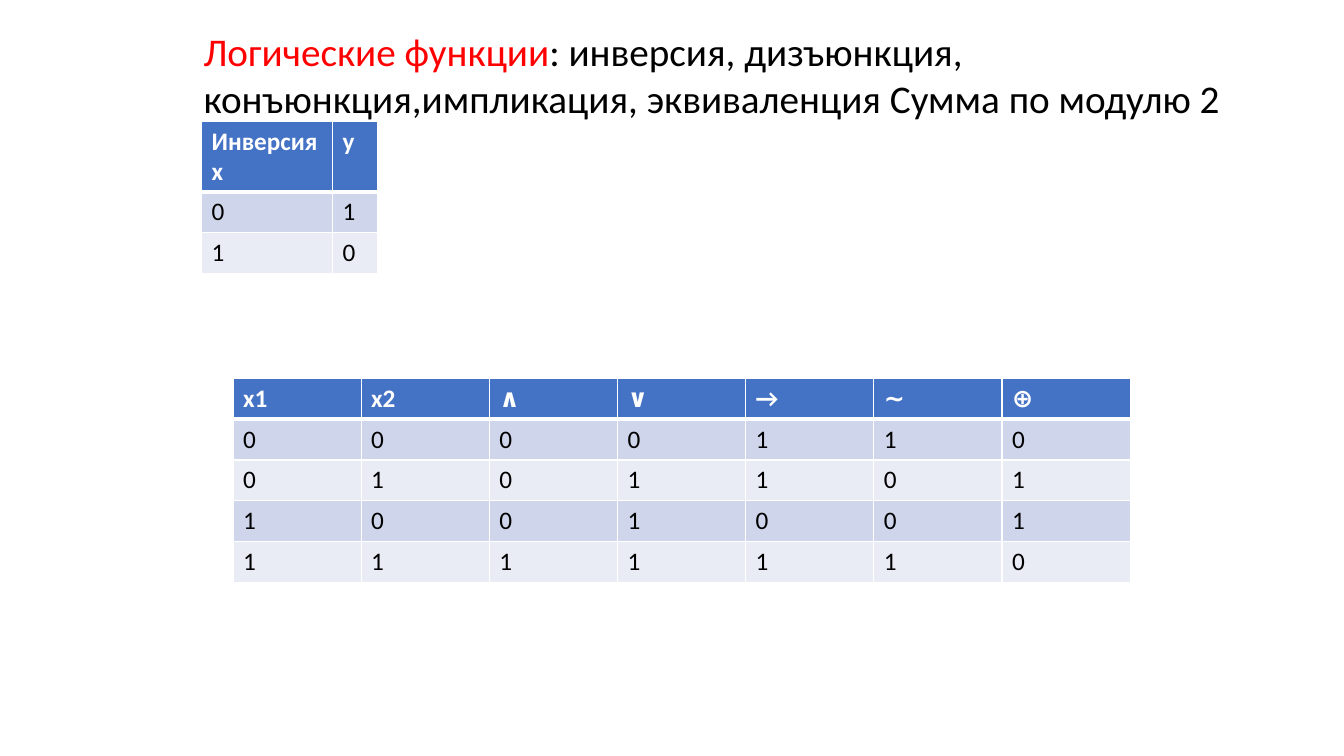
import pptx
import pptx.dml.color
import pptx.enum.text
import pptx.oxml
import pptx.oxml.ns
import pptx.util

Cm = pptx.util.Cm
Pt = pptx.util.Pt
RGBColor = pptx.dml.color.RGBColor

RED = RGBColor(0xFF, 0x00, 0x00)
BLACK = RGBColor(0x00, 0x00, 0x00)
WHITE = RGBColor(0xFF, 0xFF, 0xFF)
HEADER_BLUE = RGBColor(0x44, 0x72, 0xC4)
BAND_DARK = RGBColor(0xCF, 0xD5, 0xEA)
BAND_LIGHT = RGBColor(0xE9, 0xEB, 0xF5)


class SlideBuilder:
    font = "Calibri"
    title_size = Pt(28)
    cell_size = Pt(18)
    row_height = Cm(1.03)
    thin = Pt(1)
    thick = Pt(3)

    def __init__(self, s):
        self.s = s

    def add_run(self, p, text, color, **formats):
        r = p.add_run()
        r.text = text
        r.font.color.rgb = color
        for name, value in {"name": self.font, **formats}.items():
            setattr(r.font, name, value)

    def add_title(self, left, top, width, height, parts):
        sp = self.s.shapes.add_textbox(left, top, width, height)
        tf = sp.text_frame
        formats = {
            "word_wrap": True,
            "auto_size": pptx.enum.text.MSO_AUTO_SIZE.SHAPE_TO_FIT_TEXT,
        }
        for name, value in formats.items():
            setattr(tf, name, value)
        for text, color in parts:
            self.add_run(tf.paragraphs[0], text, color, size=self.title_size)

    def add_borders(self, cell, row):
        widths = {"L": self.thin, "R": self.thin, "T": self.thin, "B": self.thin}
        if row == 0:
            widths["B"] = self.thick
        elif row == 1:
            widths["T"] = self.thick
        tc_pr = cell._tc.get_or_add_tcPr()
        for i, (side, width) in enumerate(widths.items()):
            line = pptx.oxml.parse_xml(
                f'<a:ln{side} {pptx.oxml.ns.nsdecls("a")} w="{width}">'
                f'<a:solidFill><a:srgbClr val="{WHITE}"/></a:solidFill>'
                f'</a:ln{side}>'
            )
            tc_pr.insert(i, line)

    def add_table(self, left, top, widths, rows, header_height):
        heights = [header_height] + [self.row_height] * (len(rows) - 1)
        sp = self.s.shapes.add_table(
            len(rows), len(widths), left, top, sum(widths), sum(heights)
        )
        table = sp.table
        for column, width in zip(table.columns, widths):
            column.width = width
        for i, (values, height) in enumerate(zip(rows, heights)):
            table.rows[i].height = height
            header = i == 0
            fill = HEADER_BLUE if header else BAND_DARK if i % 2 else BAND_LIGHT
            for j, text in enumerate(values):
                cell = table.cell(i, j)
                cell.fill.solid()
                cell.fill.fore_color.rgb = fill
                self.add_borders(cell, i)
                self.add_run(
                    cell.text_frame.paragraphs[0],
                    text,
                    WHITE if header else BLACK,
                    size=self.cell_size,
                    bold=header,
                )


def main():
    prs = pptx.Presentation()
    prs.slide_width = Cm(33.87)
    prs.slide_height = Cm(19.05)
    builder = SlideBuilder(prs.slides.add_slide(prs.slide_layouts[6]))

    builder.add_title(Cm(4.88), Cm(0.56), Cm(27.3), Cm(2.64), [
        ("Логические функции", RED),
        (": инверсия, дизъюнкция, конъюнкция,импликация, "
         "эквиваленция Сумма по модулю 2", BLACK),
    ])

    inversion = [("Инверсия x", "y"), "01", "10"]
    builder.add_table(
        Cm(5.08), Cm(3.05), [Cm(3.3), Cm(1.14)], inversion, Cm(1.78)
    )

    truth_table = [
        ("x1", "x2", "∧", "∨", "→", "∼", "⊕"),
        "0000110",
        "0101101",
        "1001001",
        "1111110",
    ]
    builder.add_table(
        Cm(5.87), Cm(9.53), [Cm(3.23)] * 7, truth_table, builder.row_height
    )

    prs.save("out.pptx")


if __name__ == "__main__":
    main()
